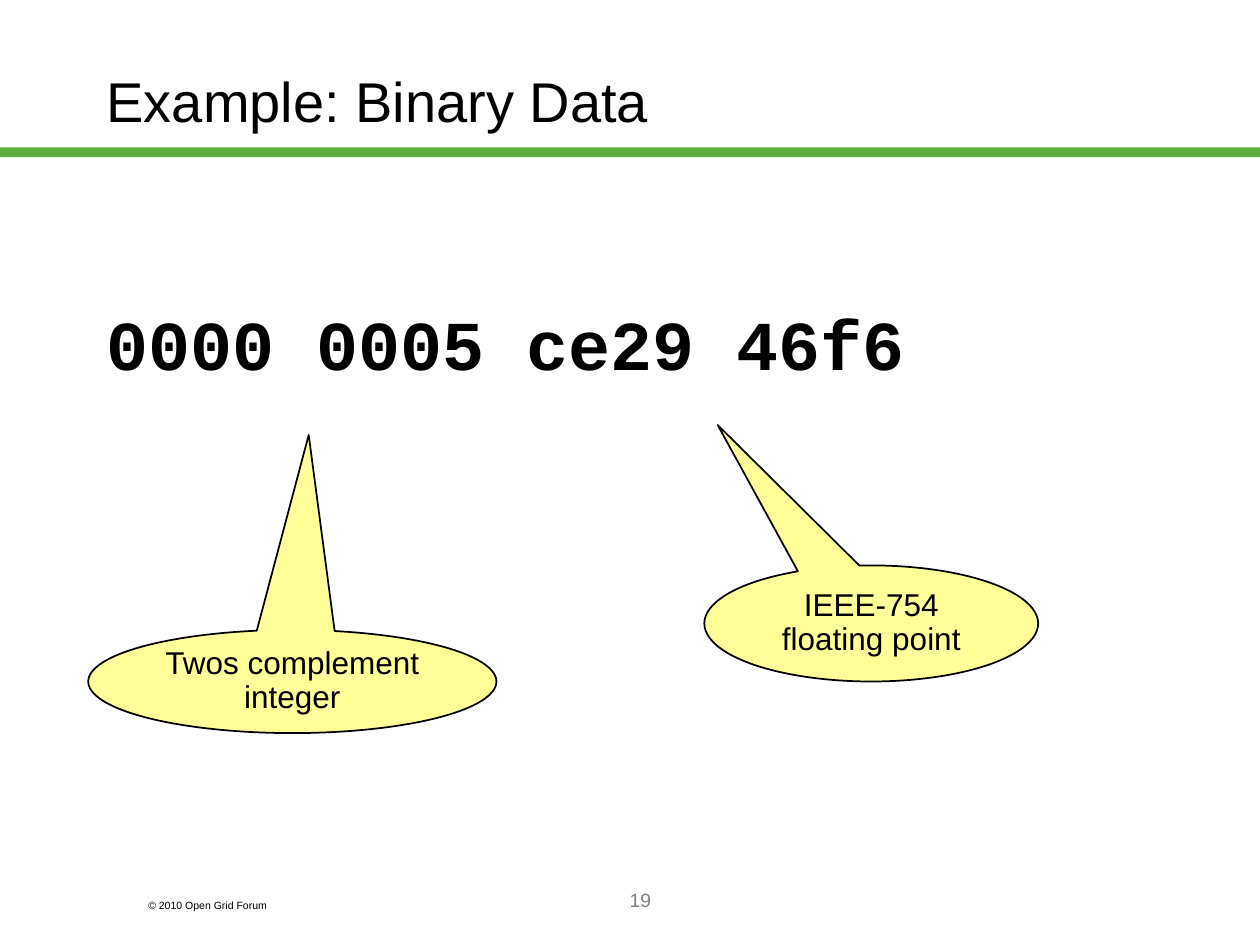
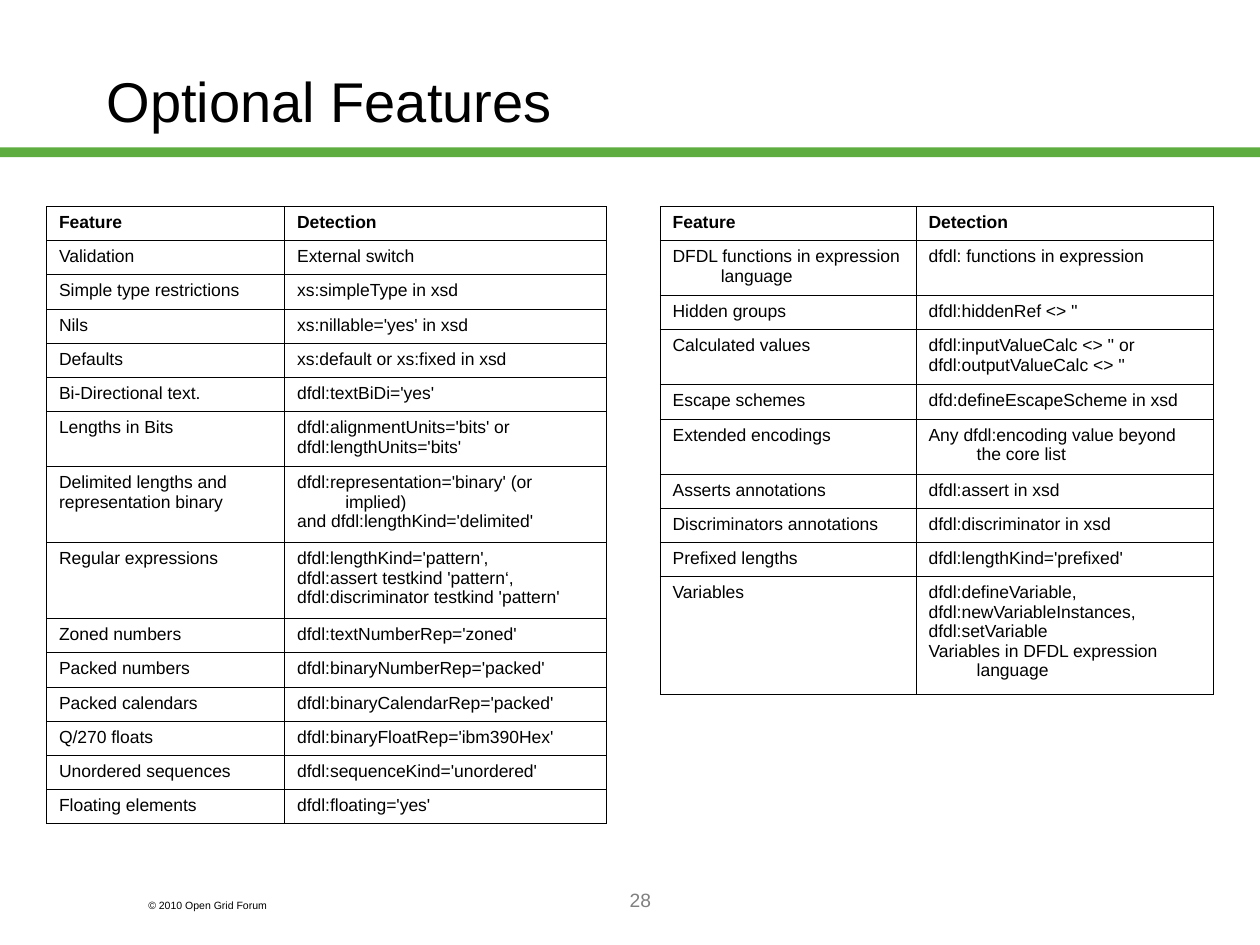
from dataclasses import dataclass

from lxml import etree
from pptx import Presentation
from pptx.dml.color import RGBColor
from pptx.enum.shapes import MSO_SHAPE
from pptx.enum.text import MSO_ANCHOR, PP_ALIGN
from pptx.oxml.ns import qn
from pptx.util import Cm, Pt

BAND = MSO_SHAPE.RECTANGLE
CALLOUT = MSO_SHAPE.OVAL_CALLOUT
TOP, MIDDLE = MSO_ANCHOR.TOP, MSO_ANCHOR.MIDDLE
LEFT, CENTER = PP_ALIGN.LEFT, PP_ALIGN.CENTER
BLANK_LAYOUT = 6


@dataclass(frozen=True)
class Theme:
    ink: str = "000000"
    green: str = "5DAD41"
    grey: str = "808080"
    yellow: str = "FFFF99"
    sans: str = "Arial"
    mono: str = "Courier New"
    title_size: int = 32
    data_size: int = 40
    callout_size: int = 18
    table_size: int = 10
    number_size: int = 11
    copyright_size: int = 6
    callout_line: int = 1
    grid_line: float = 0.45


THEME = Theme()

# Table layout in centimetres
TABLE_TOP = 4.16
ROW_HEIGHT = 0.69
EXTRA_LINE = 0.42
HANGING_INDENT = 0.97

# Each row pairs a feature with its detection; a line break starts a paragraph
HEADER = ("Feature", "Detection")
BASIC_FEATURES = [
    ("Validation", "External switch"),
    ("Simple type restrictions", "xs:simpleType in xsd"),
    ("Nils", "xs:nillable='yes' in xsd"),
    ("Defaults", "xs:default or xs:fixed in xsd"),
    ("Bi-Directional text.", "dfdl:textBiDi='yes'"),
    ("Lengths in Bits",
     "dfdl:alignmentUnits='bits' or\ndfdl:lengthUnits='bits'"),
    ("Delimited lengths and\nrepresentation binary",
     "dfdl:representation='binary' (or implied)\n"
     "and dfdl:lengthKind='delimited'"),
    ("Regular expressions",
     "dfdl:lengthKind='pattern',\ndfdl:assert testkind 'pattern‘,\n"
     "dfdl:discriminator testkind 'pattern'"),
    ("Zoned numbers", "dfdl:textNumberRep='zoned'"),
    ("Packed numbers", "dfdl:binaryNumberRep='packed'"),
    ("Packed calendars", "dfdl:binaryCalendarRep='packed'"),
    ("Q/270 floats", "dfdl:binaryFloatRep='ibm390Hex'"),
    ("Unordered sequences", "dfdl:sequenceKind='unordered'"),
    ("Floating elements", "dfdl:floating='yes'"),
]
BASIC_LINES = [1, 1, 1, 1, 1, 1, 2, 3, 3, 1, 1, 1, 1, 1, 1]

ADVANCED_FEATURES = [
    ("DFDL functions in expression language", "dfdl: functions in expression"),
    ("Hidden groups", "dfdl:hiddenRef <> ''"),
    ("Calculated values",
     "dfdl:inputValueCalc <> '' or\ndfdl:outputValueCalc <> ''"),
    ("Escape schemes", "dfd:defineEscapeScheme in xsd"),
    ("Extended encodings", "Any dfdl:encoding value beyond the core list"),
    ("Asserts annotations", "dfdl:assert in xsd"),
    ("Discriminators annotations", "dfdl:discriminator in xsd"),
    ("Prefixed lengths", "dfdl:lengthKind='prefixed'"),
    ("Variables",
     "dfdl:defineVariable,\ndfdl:newVariableInstances,\ndfdl:setVariable\n"
     "Variables in DFDL expression language"),
]
ADVANCED_LINES = [1, 2, 1, 2, 1, 2, 1, 1, 1, 5]


def rgb(colour):
    return RGBColor.from_string(colour)


def add_span(para, text, size, colour=THEME.ink, font=THEME.sans, bold=False):
    span = para.add_run()
    span.text = text
    span.font.size = Pt(size)
    span.font.name = font
    span.font.bold = bold
    span.font.color.rgb = rgb(colour)


def add_text(page, text, left, top, width, height, size,
             align=LEFT, anchor=TOP, **style):
    box = page.shapes.add_textbox(Cm(left), Cm(top), Cm(width), Cm(height))
    frame = box.text_frame
    frame.word_wrap = True
    frame.vertical_anchor = anchor
    para = frame.paragraphs[0]
    para.alignment = align
    add_span(para, text, size, **style)


def add_filled_shape(page, kind, left, top, width, height, fill):
    shape = page.shapes.add_shape(kind, Cm(left), Cm(top), Cm(width), Cm(height))
    shape.shadow.inherit = False
    shape.fill.solid()
    shape.fill.fore_color.rgb = rgb(fill)
    shape.line.fill.background()
    return shape


def add_page(deck, title, number):
    """Add a page with the green band, copyright line, number and title."""
    page = deck.slides.add_slide(deck.slide_layouts[BLANK_LAYOUT])
    add_filled_shape(page, BAND, 0, 2.97, 25.4, 0.2, THEME.green)
    add_text(page, "© 2010 Open Grid Forum", 2.74, 17.99, 3.81, 0.51,
             THEME.copyright_size)
    add_text(page, str(number), 5.5, 17.78, 14.82, 1.27, THEME.number_size,
             align=CENTER, colour=THEME.grey)
    add_text(page, title, 1.9, 0.43, 21.59, 3.18, THEME.title_size,
             anchor=MIDDLE)
    return page


def add_callout(page, text, left, top, width, height, pointer):
    callout = add_filled_shape(page, CALLOUT, left, top, width, height,
                               THEME.yellow)
    callout.adjustments[0], callout.adjustments[1] = pointer
    callout.line.color.rgb = rgb(THEME.ink)
    callout.line.width = Pt(THEME.callout_line)
    frame = callout.text_frame
    frame.word_wrap = True
    frame.vertical_anchor = MIDDLE
    para = frame.paragraphs[0]
    para.alignment = CENTER
    para.line_spacing = 0.9
    add_span(para, text, THEME.callout_size)


def set_borders(cell):
    properties = cell._tc.get_or_add_tcPr()
    for position, side in enumerate(("a:lnL", "a:lnR", "a:lnT", "a:lnB")):
        line = etree.Element(qn(side), w=str(Pt(THEME.grid_line)))
        fill = etree.SubElement(line, qn("a:solidFill"))
        etree.SubElement(fill, qn("a:srgbClr"), val=THEME.ink)
        properties.insert(position, line)


def fill_cell(cell, text, bold):
    cell.fill.background()
    set_borders(cell)
    frame = cell.text_frame
    for index, line in enumerate(text.split("\n")):
        para = frame.add_paragraph() if index else frame.paragraphs[0]
        properties = para._p.get_or_add_pPr()
        properties.set("marL", str(Cm(HANGING_INDENT)))
        properties.set("indent", str(-Cm(HANGING_INDENT)))
        add_span(para, line, THEME.table_size, bold=bold)


def add_feature_table(page, features, line_counts, left, widths):
    rows = [HEADER] + features
    heights = [ROW_HEIGHT + EXTRA_LINE * (count - 1) for count in line_counts]
    table = page.shapes.add_table(
        len(rows), len(widths), Cm(left), Cm(TABLE_TOP),
        Cm(sum(widths)), Cm(sum(heights))).table
    table.first_row = table.horz_banding = False
    for column, width in zip(table.columns, widths):
        column.width = Cm(width)
    for row_index, (texts, height) in enumerate(zip(rows, heights)):
        table.rows[row_index].height = Cm(height)
        for column_index, text in enumerate(texts):
            cell = table.cell(row_index, column_index)
            cell.margin_left = cell.margin_right = Cm(0.25)
            cell.margin_top = cell.margin_bottom = Cm(0.13)
            fill_cell(cell, text, bold=row_index == 0)


def main():
    deck = Presentation()
    deck.slide_width, deck.slide_height = Cm(25.4), Cm(19.05)

    # Binary data with two callouts
    page = add_page(deck, "Example: Binary Data", 19)
    add_text(page, "0000 0005 ce29 46f6", 1.9, 5.94, 21.59, 2.06,
             THEME.data_size, font=THEME.mono, bold=True)
    add_callout(page, "IEEE-754 floating point", 14.2, 11.4, 6.73, 2.34,
                pointer=(-0.46, -1.71))
    add_callout(page, "Twos complement integer", 1.78, 12.7, 8.23, 2.08,
                pointer=(0.04, -2.39))

    # Optional features in two tables
    page = add_page(deck, "Optional Features", 28)
    add_feature_table(page, BASIC_FEATURES, BASIC_LINES, 0.94, (4.8, 6.48))
    add_feature_table(page, ADVANCED_FEATURES, ADVANCED_LINES, 13.31,
                      (5.16, 5.98))

    deck.save("out.pptx")


if __name__ == "__main__":
    main()
